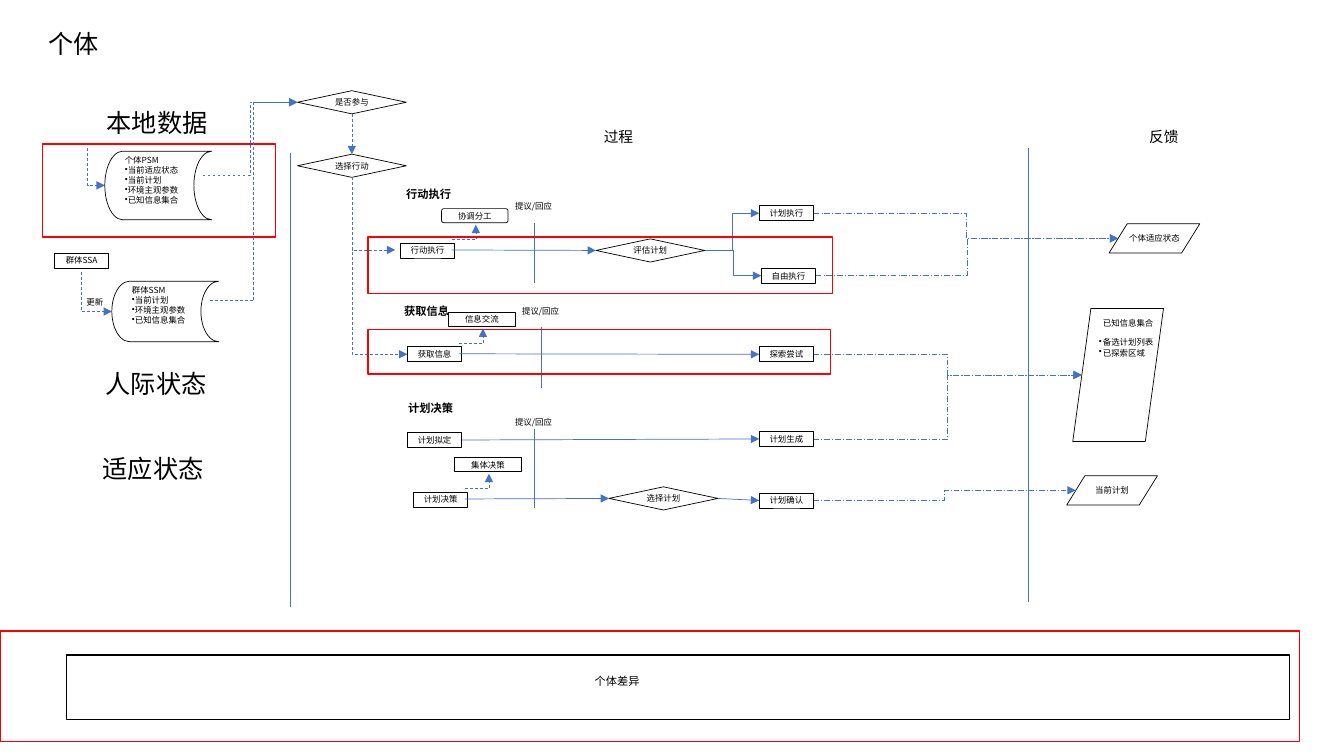
from dataclasses import dataclass
from typing import Any

from pptx import Presentation
from pptx.dml.color import RGBColor
from pptx.enum.dml import MSO_LINE
from pptx.enum.shapes import MSO_CONNECTOR as CONNECTOR, MSO_SHAPE as SHAPE
from pptx.enum.text import MSO_ANCHOR as ANCHOR, MSO_AUTO_SIZE as AUTO_SIZE, PP_ALIGN as ALIGN
from pptx.oxml.ns import qn
from pptx.util import Emu, Pt

PX = 9144  # 100 px to the inch
FONT = "Noto Sans CJK SC"
COLORS = {"ink": "000000", "flow": "4472C4", "frame": "FF0000"}
TOP, LEFT, BOTTOM, RIGHT = SIDES = [(0.5, 0), (0, 0.5), (0.5, 1), (1, 0.5)]
SLANTED_LEFT = (0.1, 0.5)
DASH, DASH_DOT = MSO_LINE.DASH, MSO_LINE.LONG_DASH_DOT


def px(length):
    return Emu(round(length * PX))


def color(name):
    return RGBColor.from_string(COLORS[name])


def style_paragraph(paragraph, size, bold=False, align=ALIGN.LEFT):
    paragraph.alignment = align
    font = paragraph.font
    font.size, font.bold, font.name = Pt(size), bold, FONT
    font.color.rgb = color("ink")
    font._rPr.find(qn("a:latin")).addnext(font._rPr.makeelement(qn("a:ea"), {"typeface": FONT}))


def add_bullet(paragraph, indent):
    properties = paragraph._p.get_or_add_pPr()
    properties.set("marL", str(px(indent)))
    properties.set("indent", str(-px(indent)))
    properties.insert(0, properties.makeelement(qn("a:buChar"), {"char": "•"}))


def outline(shape, name, weight):
    shape.line.color.rgb = color(name)
    shape.line.width = Pt(weight)


@dataclass
class Region:
    """A part of the slide; lengths passed to its methods are px from its corner."""
    slide: Any
    left: int = 0
    top: int = 0

    def within(self, left, top):
        return Region(self.slide, self.left + left, self.top + top)

    def place(self, left, top, width, height):
        return px(self.left + left), px(self.top + top), px(width), px(height)

    def shape(self, kind, left, top, width, height, text="", line="ink", weight=0.5):
        shape = self.slide.shapes.add_shape(kind, *self.place(left, top, width, height))
        shape.shadow.inherit = False
        shape.fill.background()
        outline(shape, line, weight)
        if text:
            frame = shape.text_frame
            frame.margin_left = frame.margin_right = frame.margin_top = frame.margin_bottom = 0
            frame.word_wrap, frame.vertical_anchor = False, ANCHOR.MIDDLE
            frame.text = text
            style_paragraph(frame.paragraphs[0], 6, align=ALIGN.CENTER)
        return shape

    def step(self, text, left, top):
        return self.shape(SHAPE.RECTANGLE, left, top, 54, 15, text)

    def decision(self, text, left, top):
        return self.shape(SHAPE.FLOWCHART_DECISION, left, top, 108, 23, text)

    def label(self, text, left, top, width, height, size=6, bold=False, align=ALIGN.LEFT, wrap=False):
        box = self.slide.shapes.add_textbox(*self.place(left, top, width, height))
        frame = box.text_frame
        frame.word_wrap, frame.auto_size = wrap, AUTO_SIZE.SHAPE_TO_FIT_TEXT
        frame.text = text
        for paragraph in frame.paragraphs:
            style_paragraph(paragraph, size, bold, align)
        return box

    def point(self, anchor):
        """Turn an (x, y) in px, or a (shape, side), into slide EMU."""
        place, side = anchor
        if isinstance(place, int):
            return px(self.left + place), px(self.top + side)
        return (Emu(round(place.left + place.width * side[0])),
                Emu(round(place.top + place.height * side[1])))

    def link(self, start, end, route="straight", dash=None, arrow=True):
        """Routes: straight, middle (turns halfway), across (then up), down (then right)."""
        (x1, y1), (x2, y2) = self.point(start), self.point(end)
        if route == "down":  # a quarter turn swaps the sides of the connector's box
            x, y, half_x, half_y = (x1 + x2) // 2, (y1 + y2) // 2, (x2 - x1) // 2, (y2 - y1) // 2
            x1, y1, x2, y2 = x - half_y, y - half_x, x + half_y, y + half_x
        kind = CONNECTOR.STRAIGHT if route == "straight" else CONNECTOR.ELBOW
        connector = self.slide.shapes.add_connector(kind, x1, y1, x2, y2)
        properties = connector._element.spPr
        if route in ("across", "down"):
            properties.find(qn("a:prstGeom")).set("prst", "bentConnector2")
        if route == "down":
            transform = properties.find(qn("a:xfrm"))
            transform.set("rot", "16200000")
            transform.set("flipH", "1")
        if route == "straight":
            for anchor, join in ((start, connector.begin_connect), (end, connector.end_connect)):
                if anchor[1] in SIDES:
                    join(anchor[0], SIDES.index(anchor[1]))
        outline(connector, "flow", 0.5)
        if dash:
            connector.line.dash_style = dash
        if arrow:
            line = properties.find(qn("a:ln"))
            line.append(line.makeelement(qn("a:tailEnd"), {"type": "triangle"}))
        properties.append(properties.makeelement(qn("a:effectLst"), {}))


def draw_title(page):
    title = page.slide.shapes.title
    title.left, title.top, title.width, title.height = page.place(38, 23, 71, 40)
    frame = title.text_frame
    frame.text = "个体"
    frame.word_wrap, frame.auto_size = False, AUTO_SIZE.SHAPE_TO_FIT_TEXT
    frame.vertical_anchor = ANCHOR.TOP
    frame.paragraphs[0].line_spacing = 1.0
    style_paragraph(frame.paragraphs[0], 18)


def draw_store(store, name, items, height, update_start):
    """Draw a data store with its update arrow; return its text."""
    drum = store.shape(SHAPE.FLOWCHART_STORED_DATA, 0, 0, 106, height)
    text = store.label("\n".join([name, *items]), 10, -1, 87, 11 + 10 * len(items), wrap=True)
    for paragraph in text.text_frame.paragraphs[1:]:
        add_bullet(paragraph, 3)
    store.link(update_start, (drum, LEFT), "down", DASH)
    return text


def draw_local_data(region):
    for text, left, top in (("本地数据", 54, 0), ("人际状态", 53, 259), ("适应状态", 50, 343)):
        region.label(text, left, top, 121, 40, 18)
    region.step("群体SSA", 12, 149)
    shared = ["当前计划", "环境主观参数", "已知信息集合"]
    personal_store = draw_store(region.within(62, 48), "个体PSM", ["当前适应状态", *shared], 68, (-17, -3))
    group_store = draw_store(region.within(69, 177), "群体SSM", shared, 60, (-30, -9))
    region.label("更新", 25, 188, 54, 20, align=ALIGN.CENTER, wrap=True)
    region.shape(SHAPE.RECTANGLE, 0, 41, 231, 92, line="frame", weight=1)
    return personal_store, group_store


def draw_group_step(lane, name, group_name, group_shape=SHAPE.RECTANGLE):
    """Draw a step and the group activity that it leads up to."""
    step = lane.step(name, 0, 0)
    lane.shape(group_shape, 41, -34, 66, 14, group_name)
    lane.link((51, -3), (75, -18), "across", DASH)
    return step


def draw_process(region):
    """Return the entry decision and the five outcome steps."""
    region.label("过程", 301, 32, 50, 28, 10.5)
    region.link((0, 62), (0, 512), arrow=False)
    for text, left, top in (("行动执行", 105, 91), ("获取信息", 103, 207), ("计划决策", 107, 303)):
        region.label(text, left, top, 65, 24, 8, bold=True)
    for left, top, gap, length in ((213, 105, 26, 60), (220, 209, 25, 61), (213, 319, 17, 78)):
        region.label("提议/回应", left, top, 58, 20, wrap=True)
        region.link((left + 29, top + gap), (left + 29, top + gap + length), arrow=False)

    entry, choice = region.decision("是否参与", 7, 0), region.decision("选择行动", 7, 63)
    evaluation, selection = region.decision("评估计划", 303, 147), region.decision("选择计划", 316, 393)
    outcomes = [region.step(text, left, top) for text, left, top in (
        ("计划执行", 465, 114), ("自由执行", 467, 176), ("探索尝试", 465, 254),
        ("计划生成", 465, 338), ("计划确认", 465, 399))]
    planned, free, explored, generated, confirmed = outcomes
    action, inquiry, deciding = region.within(109, 151), region.within(116, 254), region.within(122, 398)
    draw_group_step(action, "行动执行", "协调分工", SHAPE.FLOWCHART_ALTERNATE_PROCESS)
    inquiry_step = draw_group_step(inquiry, "获取信息", "信息交流")
    draw_group_step(deciding, "计划决策", "集体决策")
    drafting = region.step("计划拟定", 116, 339)

    region.link((entry, BOTTOM), (choice, TOP), dash=DASH)
    region.link((choice, BOTTOM), (104, 158), "down", DASH)
    region.link((choice, BOTTOM), (inquiry_step, LEFT), "down", DASH)
    for lane, target in ((action, evaluation), (inquiry, explored), (deciding, selection)):
        lane.link((51, 7), (target, LEFT))
    region.link((drafting, RIGHT), (generated, LEFT))
    region.link((selection, RIGHT), (confirmed, LEFT))
    for outcome in (planned, free):
        region.link((evaluation, RIGHT), (outcome, LEFT), "middle")
    for top, width, height in ((145, 461, 56), (237, 459, 44)):
        region.shape(SHAPE.RECTANGLE, 77, top, width, height, line="frame", weight=1)
    return entry, outcomes


def draw_feedback(region):
    region.label("反馈", 110, 0, 50, 28, 10.5)
    region.link((0, 25), (0, 475), arrow=False)
    state, knowledge, plan = [
        region.shape(SHAPE.FLOWCHART_DATA, left, top, 90, height, text) for left, top, height, text in (
            (80, 100, 29, "个体适应状态"), (44, 184, 132, ""), (38, 350, 29, "当前计划"))]
    region.label("已知信息集合", 64, 189, 71, 20)
    items = region.label("备选计划列表\n已探索区域", 60, 208, 75, 30)
    for paragraph in items.text_frame.paragraphs:
        add_bullet(paragraph, 4)
    return state, knowledge, plan


def draw_differences(region):
    region.shape(SHAPE.RECTANGLE, 0, 0, 1289, 110, line="frame", weight=1)
    region.shape(SHAPE.RECTANGLE, 66, 24, 1213, 64, weight=1)
    region.label("个体差异", 580, 38, 65, 24, 8)


def main():
    presentation = Presentation()
    presentation.slide_width, presentation.slide_height = px(1333), px(750)
    page = Region(presentation.slides.add_slide(presentation.slide_layouts[5]))
    draw_title(page)
    stores = draw_local_data(page.within(42, 102))
    entry, outcomes = draw_process(page.within(288, 90))
    state, knowledge, plan = draw_feedback(page.within(1020, 122))
    draw_differences(page.within(0, 626))
    for store in stores:
        page.link((store, RIGHT), (entry, LEFT), "middle", DASH)
    for outcome, result in zip(outcomes, (state, state, knowledge, knowledge, plan)):
        page.link((outcome, RIGHT), (result, SLANTED_LEFT), "middle", DASH_DOT)
    presentation.save("out.pptx")


if __name__ == "__main__":
    main()
